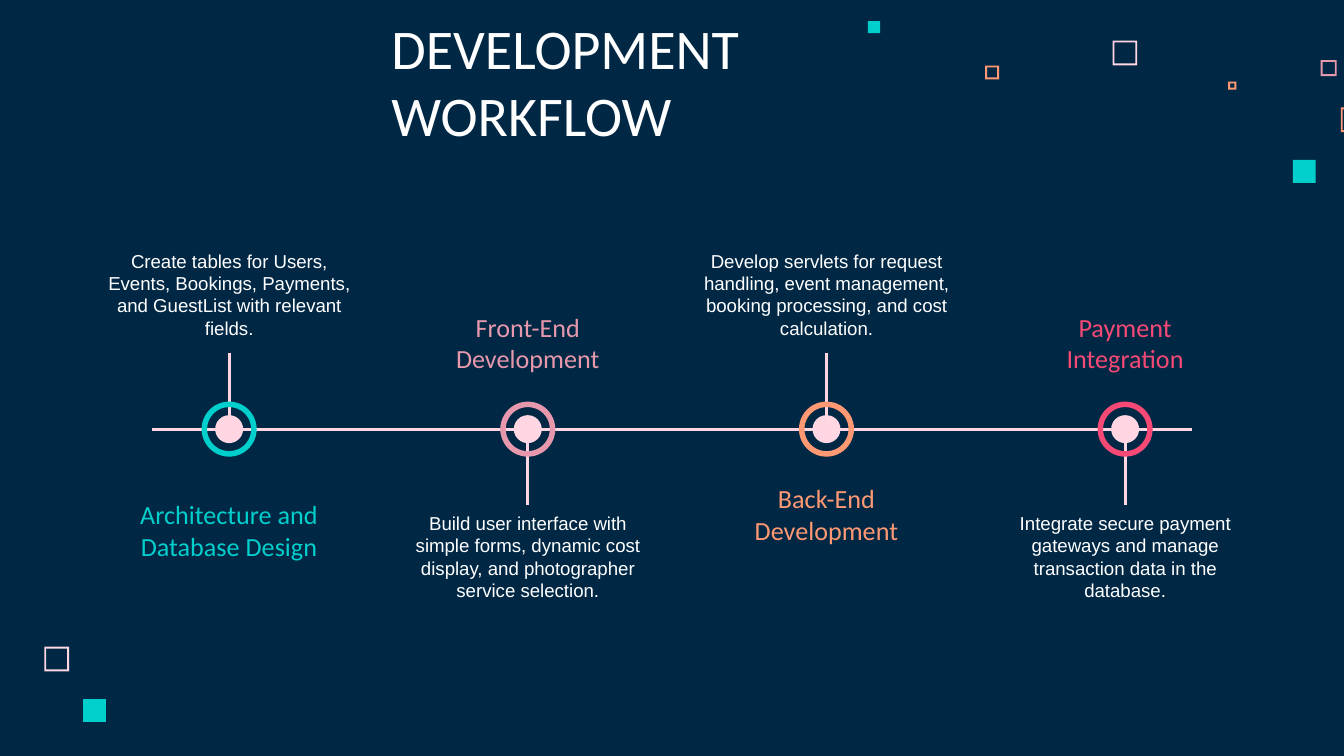
from lxml import etree
from pptx import Presentation
from pptx.dml.color import RGBColor
from pptx.enum.shapes import MSO_CONNECTOR, MSO_SHAPE
from pptx.enum.text import MSO_ANCHOR, MSO_AUTO_SIZE, PP_ALIGN
from pptx.oxml.ns import qn
from pptx.util import Pt

LINE = MSO_CONNECTOR.STRAIGHT
OVAL, RING = MSO_SHAPE.OVAL, MSO_SHAPE.DONUT
RECT, FRAME = MSO_SHAPE.RECTANGLE, MSO_SHAPE.FRAME
MID, LOW = MSO_ANCHOR.MIDDLE, MSO_ANCHOR.BOTTOM
LEFT, MIDDLE = PP_ALIGN.LEFT, PP_ALIGN.CENTER
NO_FIT = MSO_AUTO_SIZE.NONE

HUES = {
    "navy": "002845", "white": "FFFFFF", "blush": "FFD6E1", "teal": "00CFCC",
    "rose": "E898AC", "peach": "FF9973", "pink": "F64975",
}

FONTS = {
    "title": {"name": "Calibri", "size": Pt(30)},
    "head": {"name": "Calibri", "size": Pt(14)},
    "body": {"name": "Arial", "size": Pt(10)},
}

# left, top, side, hue, hollow
SQUARES = [
    (596, 21.8, 13.2, "blush", True),
    (707.5, 32.2, 8.6, "rose", True),
    (658, 43.7, 4.3, "peach", True),
    (718.3, 57.6, 13.2, "peach", True),
    (692.6, 85.7, 12.3, "teal", False),
    (527.8, 35.1, 7.4, "peach", True),
    (465, 11.3, 6.5, "teal", False),
    (23.8, 346.5, 13.2, "blush", True),
    (44.5, 374.5, 12.3, "teal", False),
]

# hue, heading, heading width and height, text, text width
STAGES = [
    ("teal", "Architecture and Database Design", 113, 51,
     "Create tables for Users, Events, Bookings, Payments, "
     "and GuestList with relevant fields.", 148),
    ("rose", "Front-End Development", 101.5, 34,
     "Build user interface with simple forms, dynamic cost display, "
     "and photographer service selection.", 148),
    ("peach", "Back-End Development", 101.5, 34,
     "Develop servlets for request handling, event management, "
     "booking processing, and cost calculation.", 168),
    ("pink", "Payment Integration", 101.5, 34,
     "Integrate secure payment gateways and manage transaction data "
     "in the database.", 148),
]


def rgb(hue):
    return RGBColor.from_string(HUES[hue])


def write(box, text, style, hue, anchor, align, foot=7.2):
    """Fill a text box; foot is its bottom inset in points."""
    frame = box.text_frame
    format = {
        "word_wrap": True, "auto_size": NO_FIT, "vertical_anchor": anchor,
        "margin_left": Pt(7.2), "margin_right": Pt(7.2),
        "margin_top": Pt(7.2), "margin_bottom": Pt(foot),
    }
    for key, value in format.items():
        setattr(frame, key, value)
    para = frame.paragraphs[0]
    para.alignment = align
    run = para.add_run()
    run.text = text
    for key, value in FONTS[style].items():
        setattr(run.font, key, value)
    run.font.color.rgb = rgb(hue)


def add_text(slide, mid, top, width, height, *format):
    """Add a text box centred on mid."""
    box = slide.shapes.add_textbox(
        Pt(mid - width / 2), Pt(top), Pt(width), Pt(height))
    write(box, *format)
    return box


def add_solid(shapes, kind, left, top, side, hue):
    shape = shapes.add_shape(kind, Pt(left), Pt(top), Pt(side), Pt(side))
    shape.shadow.inherit = False
    shape.fill.solid()
    shape.fill.fore_color.rgb = rgb(hue)
    shape.line.fill.background()
    return shape


def add_line(slide, x1, y1, x2, y2):
    line = slide.shapes.add_connector(LINE, Pt(x1), Pt(y1), Pt(x2), Pt(y2))
    line.line.color.rgb = rgb("blush")
    line.line.width = Pt(1.5)
    etree.SubElement(line._element.spPr, qn("a:effectLst"))
    return line


def add_squares(slide):
    for left, top, side, hue, hollow in SQUARES:
        shape = add_solid(slide.shapes, FRAME if hollow else RECT,
                          left, top, side, hue)
        if hollow:
            shape.adjustments[0] = 1 / side


def add_title(slide, left, top, width, height):
    title = slide.shapes.title
    place = {"left": left, "top": top, "width": width, "height": height}
    for key, value in place.items():
        setattr(title, key, Pt(value))
    write(title, "DEVELOPMENT WORKFLOW", "title", "white", LOW, LEFT)


def add_node(slide, x, y, hue):
    """Group a dot with a ring around it, centred on x, y."""
    group = slide.shapes.add_group_shape()
    for kind, side, tone in ((OVAL, 15, "blush"), (RING, 29.5, hue)):
        shape = add_solid(group.shapes, kind, x - side / 2, y - side / 2,
                          side, tone)
    shape.adjustments[0] = 0.1


def add_stage(slide, x, y, stage, above):
    """Place the texts and stem of a stage whose node is at x, y."""
    hue, head, wide, high, text, span = stage
    head_top = y + 28.5 if above else y - 63.5
    add_text(slide, x, head_top, wide, high, head, "head", hue, MID, MIDDLE)
    body_top = y - 102 if above else y + 50
    foot = 7.2 if above else 18.7
    body = add_text(slide, x, body_top, span, 61,
                    text, "body", "white", LOW, MIDDLE, foot)
    if above:
        stem = add_line(slide, x, y - 41, x, y - 4.5)
        stem.begin_connect(body, 2)
    else:
        add_line(slide, x, y + 4.5, x, y + 40.5)


def add_flow(slide, left, y, width):
    """Draw the axis with its stages, alternating above and below."""
    spots = [left + 41.5 + 160 * i for i in range(len(STAGES))]
    for i, (x, stage) in enumerate(zip(spots, STAGES)):
        add_stage(slide, x, y, stage, i % 2 == 0)
    add_line(slide, left, y, left + width, y)
    for x, stage in zip(spots, STAGES):
        add_node(slide, x, y, stage[0])


def main():
    deck = Presentation()
    deck.slide_width, deck.slide_height = Pt(720), Pt(405)
    slide = deck.slides.add_slide(deck.slide_layouts[5])
    slide.background.fill.solid()
    slide.background.fill.fore_color.rgb = rgb("navy")
    add_squares(slide)
    add_title(slide, 202.5, 41, 315.5, 45.5)
    add_flow(slide, 81.25, 229.9, 557.5)
    deck.save("out.pptx")


if __name__ == "__main__":
    main()
